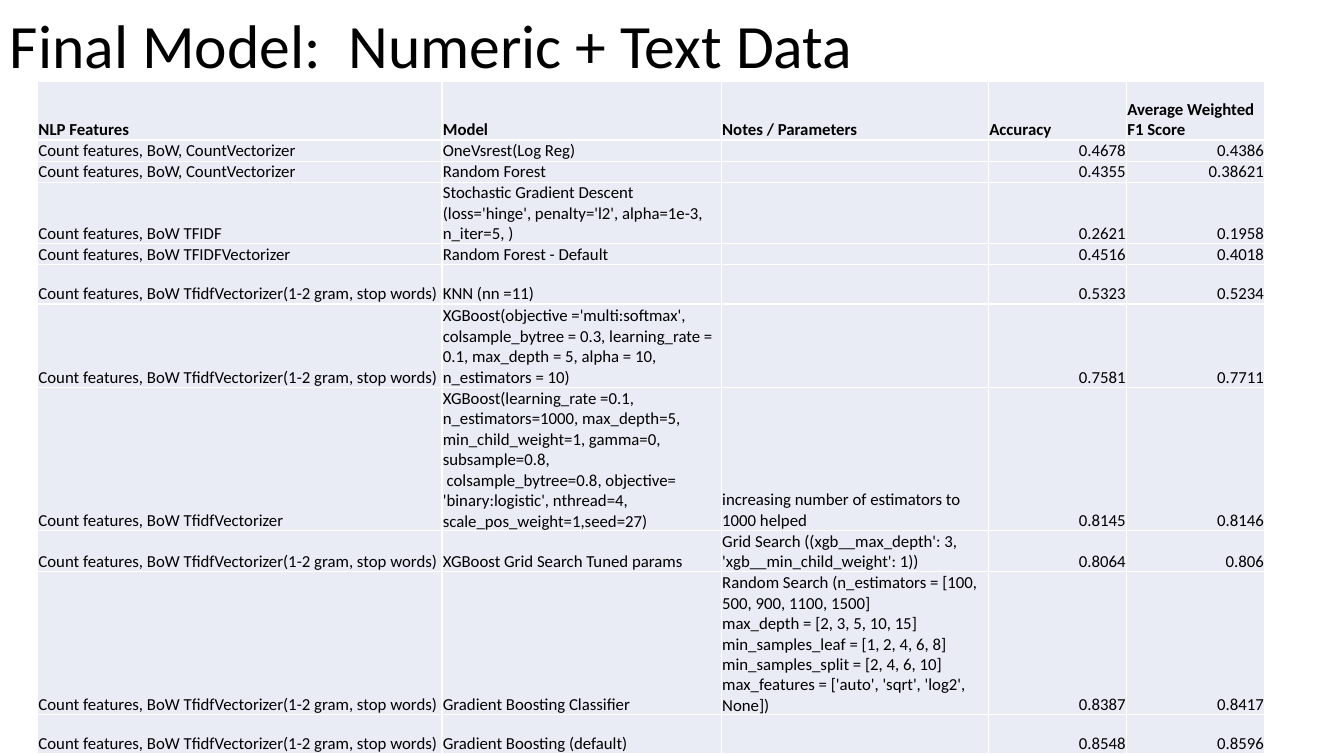
from dataclasses import dataclass

from lxml.etree import SubElement
from pptx import Presentation
from pptx.dml.color import RGBColor
from pptx.enum.text import MSO_ANCHOR as Anchor, PP_ALIGN as Align
from pptx.oxml.ns import qn
from pptx.util import Cm, Pt

BLACK, WHITE, CELL_FILL = "000000", "FFFFFF", "E9EBF5"
TITLE_FONT = {"name": "Calibri", "size": Pt(44), "bold": False}
BODY_FONT = {"name": "Calibri", "size": Pt(12), "bold": False}
HEADER_FONT = {**BODY_FONT, "bold": True}
CELL_FORMAT = {
    "margin_left": Cm(0.02),
    "margin_right": Cm(0.02),
    "margin_top": Cm(0.02),
    "margin_bottom": Cm(0),
    "vertical_anchor": Anchor.BOTTOM,
}
COLUMN_WIDTHS = (10.19, 7.04, 6.73, 3.48, 3.48)
HEADERS = ("NLP Features", "Model", "Notes / Parameters", "Accuracy", "Average Weighted F1 Score")
HEADER_HEIGHT = 1.47
FIRST_SCORE_COLUMN = 3

COUNT = "Count features, BoW, CountVectorizer"
TFIDF = "Count features, BoW TfidfVectorizer"
TFIDF_GRAMS = TFIDF + "(1-2 gram, stop words)"


@dataclass
class Trial:
    height: float
    features: str
    model: str
    accuracy: str
    f1_score: str
    notes: str = ""

    def texts(self) -> tuple:
        return self.features, self.model, self.notes, self.accuracy, self.f1_score


TRIALS = (
    Trial(0.53, COUNT, "OneVsrest(Log Reg)", "0.4678", "0.4386"),
    Trial(0.53, COUNT, "Random Forest", "0.4355", "0.38621"),
    Trial(1.55, "Count features, BoW TFIDF",
          "Stochastic Gradient Descent (loss='hinge', penalty='l2', alpha=1e-3, n_iter=5, )",
          "0.2621", "0.1958"),
    Trial(0.53, "Count features, BoW TFIDFVectorizer", "Random Forest - Default", "0.4516", "0.4018"),
    Trial(0.99, TFIDF_GRAMS, "KNN (nn =11)", "0.5323", "0.5234"),
    Trial(2.11, TFIDF_GRAMS,
          "XGBoost(objective ='multi:softmax', colsample_bytree = 0.3, learning_rate = 0.1, "
          "max_depth = 5, alpha = 10, n_estimators = 10)",
          "0.7581", "0.7711"),
    Trial(3.6, TFIDF,
          "XGBoost(learning_rate =0.1, n_estimators=1000, max_depth=5, min_child_weight=1, "
          "gamma=0, subsample=0.8,\n colsample_bytree=0.8, objective= 'binary:logistic', "
          "nthread=4, scale_pos_weight=1,seed=27)",
          "0.8145", "0.8146", "increasing number of estimators to 1000 helped"),
    Trial(1.04, TFIDF_GRAMS, "XGBoost Grid Search Tuned params", "0.8064", "0.806",
          "Grid Search ((xgb__max_depth': 3, 'xgb__min_child_weight': 1))"),
    Trial(3.6, TFIDF_GRAMS, "Gradient Boosting Classifier", "0.8387", "0.8417",
          "Random Search (n_estimators = [100, 500, 900, 1100, 1500]\n"
          "max_depth = [2, 3, 5, 10, 15]\nmin_samples_leaf = [1, 2, 4, 6, 8] \n"
          "min_samples_split = [2, 4, 6, 10]\nmax_features = ['auto', 'sqrt', 'log2', None])"),
    Trial(0.99, TFIDF_GRAMS, "Gradient Boosting (default)", "0.8548", "0.8596"),
)


def color(hex_value: str) -> RGBColor:
    return RGBColor.from_string(hex_value)


def apply_format(target, values: dict) -> None:
    for name, value in values.items():
        setattr(target, name, value)


def write_text(paragraph, text: str, font: dict) -> None:
    """Fill the paragraph, giving breaks and its end mark the same size as the runs."""
    paragraph.text = text
    for run in paragraph.runs:
        apply_format(run.font, font)
        run.font.color.rgb = color(BLACK)
    size = str(int(font["size"].pt * 100))
    for line_break in paragraph._p.findall(qn("a:br")):
        SubElement(line_break, qn("a:rPr"), sz=size)
    SubElement(paragraph._p, qn("a:endParaRPr"), sz=size)


def add_borders(cell, hex_value: str, width: int) -> None:
    properties = cell._tc.get_or_add_tcPr()
    for side in ("lnL", "lnR", "lnT", "lnB"):
        line = SubElement(properties, qn(f"a:{side}"), w=str(width))
        fill = SubElement(line, qn("a:solidFill"))
        SubElement(fill, qn("a:srgbClr"), val=hex_value)


def draw_cell(cell, text: str, font: dict, align: Align) -> None:
    apply_format(cell, CELL_FORMAT)
    add_borders(cell, WHITE, Pt(1))
    cell.fill.solid()
    cell.fill.fore_color.rgb = color(CELL_FILL)
    paragraph = cell.text_frame.paragraphs[0]
    paragraph.alignment = align
    write_text(paragraph, text, font)


def draw_title(slide, text: str) -> None:
    box = slide.shapes.add_textbox(Cm(0), Cm(-0.76), Cm(33.87), Cm(3.99))
    apply_format(box.text_frame, {"word_wrap": True, "vertical_anchor": Anchor.MIDDLE})
    paragraph = box.text_frame.paragraphs[0]
    paragraph.line_spacing = 0.9
    write_text(paragraph, text, TITLE_FONT)


def draw_results(slide) -> None:
    heights = [HEADER_HEIGHT] + [trial.height for trial in TRIALS]
    table = slide.shapes.add_table(
        len(heights), len(COLUMN_WIDTHS), Cm(0.95), Cm(2.06),
        Cm(sum(COLUMN_WIDTHS)), Cm(sum(heights)),
    ).table
    apply_format(table, {"first_row": False, "horz_banding": False})
    for column, width in zip(table.columns, COLUMN_WIDTHS):
        column.width = Cm(width)
    for row, height in zip(table.rows, heights):
        row.height = Cm(height)
    for index, text in enumerate(HEADERS):
        draw_cell(table.cell(0, index), text, HEADER_FONT, Align.LEFT)
    for row_index, trial in enumerate(TRIALS, start=1):
        for index, text in enumerate(trial.texts()):
            align = Align.RIGHT if index >= FIRST_SCORE_COLUMN else Align.LEFT
            draw_cell(table.cell(row_index, index), text, BODY_FONT, align)


def main() -> None:
    presentation = Presentation()
    apply_format(presentation, {"slide_width": Cm(33.87), "slide_height": Cm(19.05)})
    slide = presentation.slides.add_slide(presentation.slide_layouts[6])
    draw_title(slide, "Final Model:  Numeric + Text Data")
    draw_results(slide)
    presentation.save("out.pptx")


if __name__ == "__main__":
    main()
